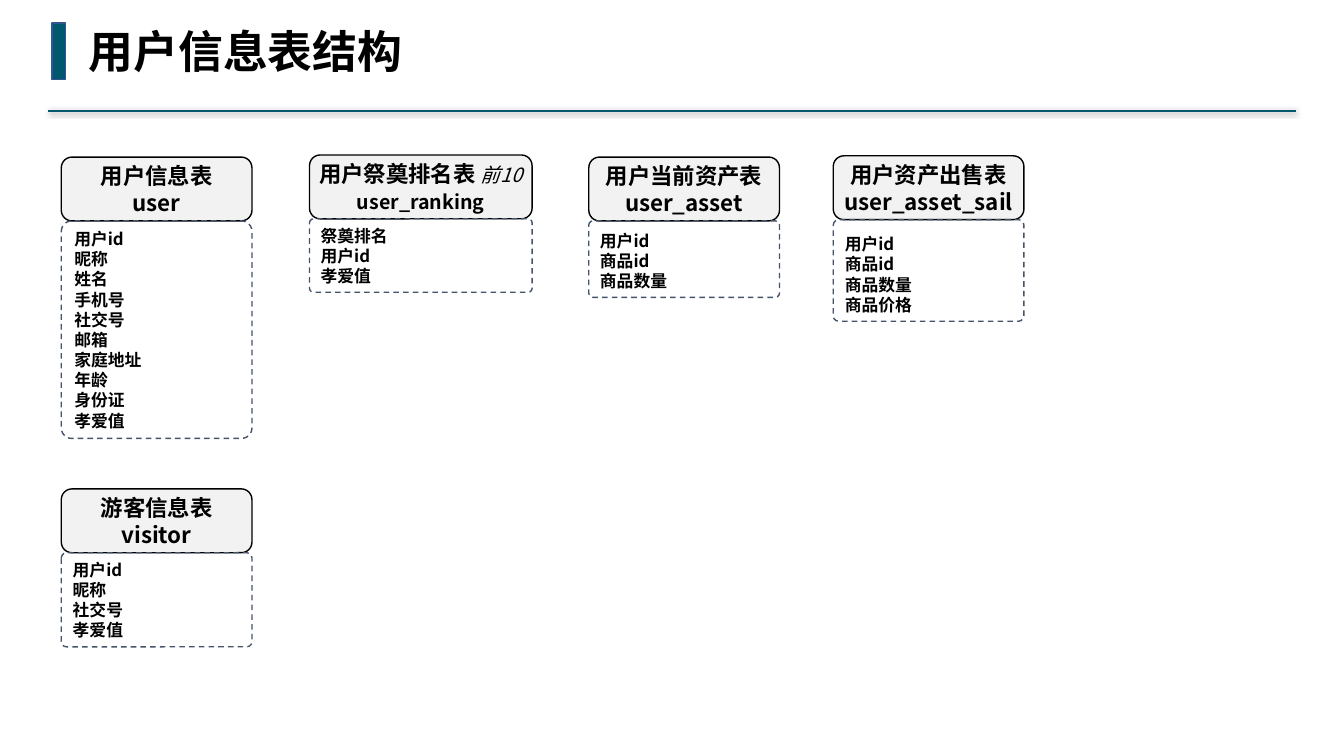
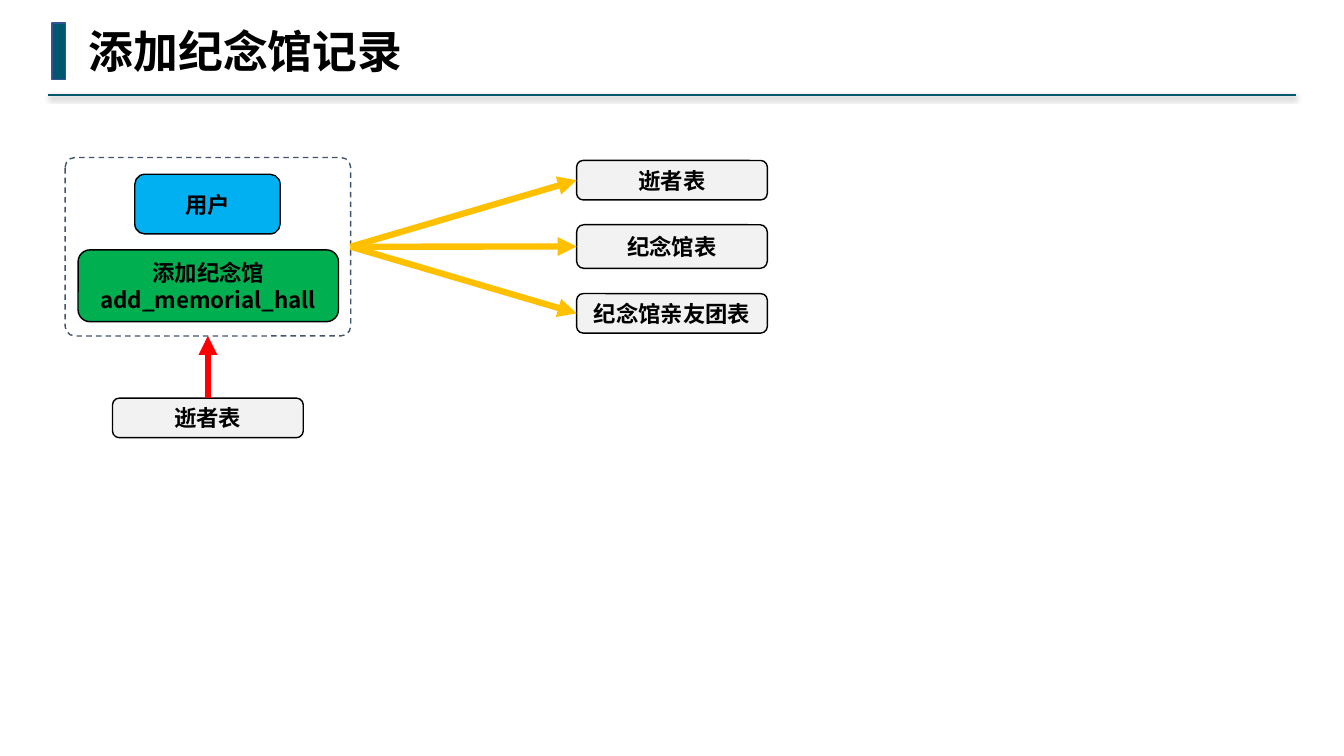
from lxml.etree import SubElement
from pptx import Presentation
from pptx.dml.color import RGBColor
from pptx.enum.dml import MSO_LINE
from pptx.enum.shapes import MSO_CONNECTOR, MSO_SHAPE
from pptx.enum.text import MSO_ANCHOR, MSO_AUTO_SIZE, PP_ALIGN
from pptx.oxml.ns import qn
from pptx.util import Inches, Pt

COLORS = {
    "teal": "00576E", "bar_edge": "325491", "black": "000000",
    "gray": "F2F2F2", "slate": "44546A", "green": "00B050",
    "blue": "00B0F0", "amber": "FFC000", "red": "FF0000",
}
TITLE_FONT = "DejaVu Sans Mono"
FONT = "Noto Sans CJK SC"
SLIDE_W, SLIDE_H = Inches(13.33), Inches(7.5)
COLS, ROWS = 160, 90
LINE_HEIGHT = 1.2
BOX_W, HEAD_H, RECORD_H = 22.7, 7.6, 4.7
TOP, RECORD_X = 18.7, 68.65

# Table name, code name, note, left, top, width, body height, fields
TABLES = [
    ("用户信息表", "user", None, 7.3, TOP, BOX_W, 25.9,
     ["用户id", "昵称", "姓名", "手机号", "社交号", "邮箱", "家庭地址",
      "年龄", "身份证", "孝爱值"]),
    ("用户祭奠排名表 ", "user_ranking", "前10", 36.85, 18.45, 26.5, 8.75,
     ["祭奠排名", "用户id", "孝爱值"]),
    ("用户当前资产表", "user_asset", None, 70.1, TOP, BOX_W, 9.1,
     ["用户id", "商品id", "商品数量"]),
    ("用户资产出售表", "user_asset_sail", None, 99.2, 18.55, BOX_W, 12.1,
     ["用户id", "商品id", "商品数量", "商品价格"]),
    ("游客信息表", "visitor", None, 7.3, 58.2, BOX_W, 11.2,
     ["用户id", "昵称", "社交号", "孝爱值"]),
]
# Record name, top, height
RECORDS = [("逝者表", 19.1, RECORD_H), ("纪念馆表", 26.75, 5.2),
           ("纪念馆亲友团表", 34.95, RECORD_H)]


def col(n):
    return round(SLIDE_W * n / COLS)


def row(n):
    return round(SLIDE_H * n / ROWS)


def rgb(name):
    return RGBColor.from_string(COLORS[name])


def add_run(p, text, size=16, font=FONT, bold=True, italic=False):
    r = p.add_run()
    r.text = text
    r.font.size, r.font.name = Pt(size), font
    r.font.bold, r.font.italic = bold, italic
    r.font.color.rgb = rgb("black")
    SubElement(r.font._element, qn("a:ea"), typeface=font)


def write(tf, lines, size=16, font=FONT, align=PP_ALIGN.CENTER,
          anchor=MSO_ANCHOR.MIDDLE, wrap=False, inset=None):
    """Write one paragraph per line."""
    tf.word_wrap, tf.vertical_anchor = wrap, anchor
    if inset is not None:
        tf.margin_left = tf.margin_right = Inches(inset)
        tf.margin_top = tf.margin_bottom = Inches(inset)
    for i, line in enumerate(lines):
        p = tf.add_paragraph() if i else tf.paragraphs[0]
        p.alignment, p.line_spacing = align, Pt(size * LINE_HEIGHT)
        add_run(p, line, size, font)


def add_box(s, x, y, w, h, fill=None, line="black", lines=(), dashed=False,
            shape=MSO_SHAPE.ROUNDED_RECTANGLE, **text):
    sp = s.shapes.add_shape(shape, col(x), row(y), col(w), row(h))
    sp.shadow.inherit = False
    if fill:
        sp.fill.solid()
        sp.fill.fore_color.rgb = rgb(fill)
    else:
        sp.fill.background()
    sp.line.color.rgb, sp.line.width = rgb(line), Pt(1)
    if dashed:
        sp.line.dash_style = MSO_LINE.DASH
        sp.adjustments[0] = 0.055
    if lines:
        write(sp.text_frame, lines, **text)
    return sp


def add_label(s, x, y, w, h, *lines, fill="gray"):
    return add_box(s, x, y, w, h, fill, lines=lines, inset=0.04)


def add_line(s, start, end, color, width):
    """Add a straight line and return it with its empty effect list."""
    cn = s.shapes.add_connector(MSO_CONNECTOR.STRAIGHT, *start, *end)
    cn.line.color.rgb, cn.line.width = rgb(color), Pt(width)
    return cn, SubElement(cn._element.spPr, qn("a:effectLst"))


def add_arrow(s, source, source_site, target, target_site, color):
    cn, _ = add_line(s, (0, 0), (0, 0), color, 4.5)
    cn.begin_connect(source, source_site)
    cn.end_connect(target, target_site)
    SubElement(cn.line._get_or_add_ln(), qn("a:tailEnd"), type="triangle")


def add_titled_slide(prs, title, rule_row):
    s = prs.slides.add_slide(prs.slide_layouts[5])
    # Rule with a soft shadow
    _, effects = add_line(s, (col(154.3), row(rule_row)),
                          (col(5.7), row(rule_row)), "teal", 1.5)
    shadow = SubElement(effects, qn("a:outerShdw"), blurRad=str(Pt(4)),
                        dist=str(Pt(1)), dir="5400000", rotWithShape="0")
    tint = SubElement(shadow, qn("a:srgbClr"), val=COLORS["black"])
    SubElement(tint, qn("a:alpha"), val="40000")
    # Accent bar and title
    add_box(s, 6.2, 2.75, 1.6, 6.7, "teal", "bar_edge",
            shape=MSO_SHAPE.RECTANGLE)
    sp = s.shapes.title
    sp.left, sp.top, sp.width, sp.height = col(9.35), row(2.2), col(40), row(7.7)
    write(sp.text_frame, [title], size=32, font=TITLE_FONT,
          align=PP_ALIGN.LEFT, anchor=MSO_ANCHOR.TOP)
    sp.text_frame.auto_size = MSO_AUTO_SIZE.SHAPE_TO_FIT_TEXT
    return s


def add_table_card(s, name, code, note, x, y, w, body_h, fields):
    head = add_label(s, x, y, w, HEAD_H, name, code)
    if note:
        name_p, code_p = head.text_frame.paragraphs
        add_run(name_p, note, 14, bold=False, italic=True)
        code_p.runs[0].font.size = Pt(14)
    add_box(s, x, y + HEAD_H, w, body_h, line="slate", lines=fields,
            dashed=True, size=12, align=PP_ALIGN.LEFT,
            anchor=MSO_ANCHOR.BOTTOM, wrap=True)


def build_user_tables(prs):
    s = add_titled_slide(prs, "用户信息表结构", 13.2)
    for table in TABLES:
        add_table_card(s, *table)


def build_memorial_flow(prs):
    s = add_titled_slide(prs, "添加纪念馆记录", 11.35)
    # User action
    frame = add_box(s, 7.75, 18.75, 34, 21.25, line="slate", dashed=True)
    add_label(s, 9.3, 29.75, 31, 8.55, "添加纪念馆", "add_memorial_hall",
              fill="green")
    add_label(s, 16.05, 20.75, 17.3, 7.1, "用户", fill="blue")
    # Records written by the action
    for name, y, h in RECORDS:
        record = add_label(s, RECORD_X, y, BOX_W, h, name)
        add_arrow(s, frame, 3, record, 1, "amber")
    # Record read by the action
    origin = add_label(s, 13.4, 47.4, BOX_W, RECORD_H, "逝者表")
    add_arrow(s, origin, 0, frame, 2, "red")


def main():
    prs = Presentation()
    prs.slide_width, prs.slide_height = SLIDE_W, SLIDE_H
    build_user_tables(prs)
    build_memorial_flow(prs)
    prs.save("out.pptx")


main()
